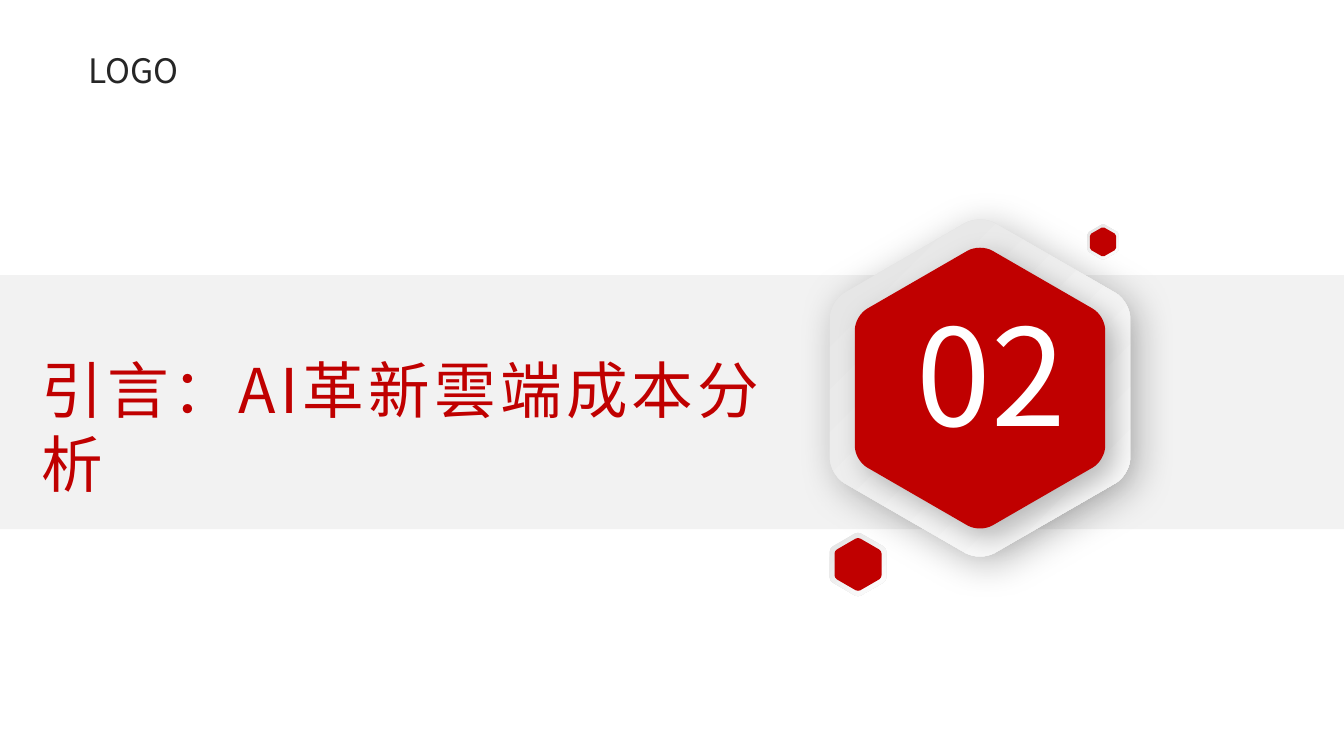
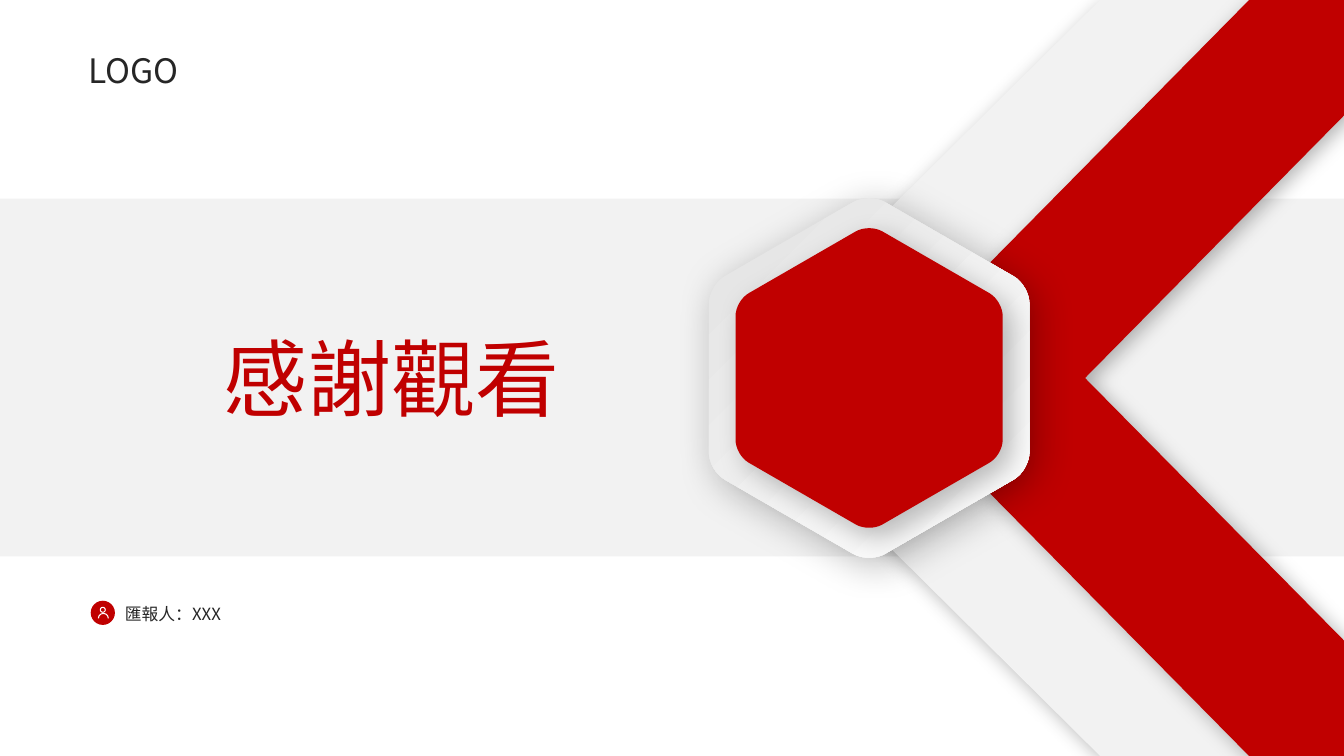
from math import cos, pi, sin

from lxml.etree import SubElement
from pptx import Presentation
from pptx.dml.color import RGBColor
from pptx.enum.shapes import MSO_SHAPE
from pptx.enum.text import MSO_AUTO_SIZE, PP_ALIGN
from pptx.oxml.ns import qn
from pptx.util import Inches, Pt

FONT = "Noto Sans CJK SC"
RED, GRAY, WHITE, INK = "C00000", "F2F2F2", "FFFFFF", "262626"
RIM = ("E2E2E2", WHITE)
# Shadows: opacity in percent, blur and distance in points
RIM_SHADE, CORE_SHADE, ARM_SHADE = (28, 28, 7), (25, 20, 9), (30, 15, 5)


def paint(shape, *colors, shade=None):
    """Fill with one colour or a diagonal blend of two, without an outline."""
    fill = shape.fill
    if len(colors) == 1:
        fill.solid()
        fill.fore_color.rgb = RGBColor.from_string(colors[0])
    else:
        fill.gradient()
        fill.gradient_angle = 315
        for stop, color in zip(fill.gradient_stops, colors):
            stop.color.rgb = RGBColor.from_string(color)
    shape.line.fill.background()
    shape.shadow.inherit = False
    if shade:
        alpha, blur, dist = shade
        effects = shape._element.spPr.find(qn("a:effectLst"))
        outer = SubElement(effects, qn("a:outerShdw"), blurRad=str(Pt(blur)),
                           dist=str(Pt(dist)), dir="2700000", algn="tl",
                           rotWithShape="0")
        black = SubElement(outer, qn("a:srgbClr"), val="000000")
        SubElement(black, qn("a:alpha"), val=str(alpha * 1000))


def write(slide, text, box, size, color, align=PP_ALIGN.LEFT):
    """Add a text box that grows with its text and return its frame."""
    frame = slide.shapes.add_textbox(*map(Inches, box)).text_frame
    frame.word_wrap = True
    frame.auto_size = MSO_AUTO_SIZE.SHAPE_TO_FIT_TEXT
    para = frame.paragraphs[0]
    para.text = text
    para.alignment = align
    font = para.font
    font.size = Pt(size)
    font.color.rgb = RGBColor.from_string(color)
    font.name = FONT
    SubElement(font._element, qn("a:ea"), typeface=FONT)
    return frame


deck = Presentation()
deck.slide_width, deck.slide_height = Inches(13.33), Inches(7.5)
blank = deck.slide_layouts[6]
section, closing = [deck.slides.add_slide(blank) for _ in range(2)]

# Band and logo text on both slides
for slide, top, height in ((section, 2.73, 2.52), (closing, 1.97, 3.55)):
    band = slide.shapes.add_shape(MSO_SHAPE.RECTANGLE, 0, Inches(top),
                                  deck.slide_width, Inches(height))
    paint(band, GRAY)
    write(slide, "LOGO", (0.78, 0.45, 1.22, 0.5), 24, INK, PP_ALIGN.JUSTIFY)

# Wide arms behind the closing hexagon
for left, width, bend, color in ((7.13, 5.88, 0.643, GRAY),
                                 (8.69, 5.77, 0.641, RED)):
    arm = closing.shapes.add_shape(MSO_SHAPE.CHEVRON, Inches(left), 0,
                                   Inches(width), deck.slide_height)
    arm.adjustments[0] = bend
    arm.rotation = 180
    paint(arm, color, shade=ARM_SHADE)

# Rounded hexagons: a pale rim and a red core, five sixths as wide
CUT, PULL = 0.1, 0.57
for slide, mid_x, mid_y, width, shaded in (
        (section, 9.72, 3.85, 2.98, True),
        (section, 8.51, 5.6, 0.56, False),
        (section, 10.94, 2.4, 0.31, False),
        (closing, 8.62, 3.75, 3.18, True)):
    for span, colors, shade in ((width, RIM, RIM_SHADE),
                                (width * 5 / 6, (RED,), CORE_SHADE)):
        radius = span / 2 / cos(pi / 6)
        tips = [(Inches(mid_x + radius * sin(k * pi / 3)),
                 Inches(mid_y - radius * cos(k * pi / 3))) for k in range(6)]
        points, pulls = [], []
        for k, tip in enumerate(tips):
            start, end = [[a + CUT * (b - a) for a, b in zip(tip, near)]
                          for near in (tips[k - 1], tips[(k + 1) % 6])]
            pair = [[a + PULL * (b - a) for a, b in zip(edge, tip)]
                    for edge in (start, end)]
            crest = [(a + 3 * b + 3 * c + d) / 8
                     for a, b, c, d in zip(start, *pair, end)]
            points += [start, crest, end]
            pulls.append(pair)
        outline = slide.shapes.build_freeform(*points[0])
        outline.add_line_segments(points[1:])
        hexagon = outline.convert_to_shape()

        # Turn the two lines of each corner into one curve
        track = next(hexagon._element.iter(qn("a:path")))
        lines = track.findall(qn("a:lnTo"))
        for k, pair in enumerate(pulls):
            crest, curve = lines[3 * k:3 * k + 2]
            track.remove(crest)
            curve.tag = qn("a:cubicBezTo")
            for place, (x, y) in enumerate(pair):
                handle = SubElement(curve, qn("a:pt"),
                                    x=str(round(x - hexagon.left)),
                                    y=str(round(y - hexagon.top)))
                curve.insert(place, handle)
        paint(hexagon, *colors, shade=shade if shaded else None)

# Section number and title
write(section, "02", (8.24, 2.85, 3.18, 1.72), 96, WHITE, PP_ALIGN.CENTER)
title = write(section, "引言：AI革新雲端成本分析", (0.34, 3.45, 7.8, 0.82), 44, RED)
title.margin_left = title.margin_right = Inches(0.07)
title.margin_top = title.margin_bottom = Inches(0.04)
title.paragraphs[0].font._element.set("spc", "300")

# Thanks and speaker
write(closing, "感謝觀看", (2.12, 3.19, 4.82, 1.11), 60, RED)
write(closing, "匯報人：XXX", (1.14, 5.94, 3.21, 0.3), 12, INK)
for kind, left, top, size, color, bends in (
        (MSO_SHAPE.OVAL, 0.9, 5.96, 0.24, RED, ()),
        (MSO_SHAPE.DONUT, 0.99, 6.02, 0.06, WHITE, (0.17,)),
        (MSO_SHAPE.BLOCK_ARC, 0.97, 6.08, 0.11, WHITE, (108, 0, 0.1))):
    part = closing.shapes.add_shape(kind, *map(Inches, (left, top, size, size)))
    for k, bend in enumerate(bends):
        part.adjustments[k] = bend
    paint(part, color)

deck.save("out.pptx")
